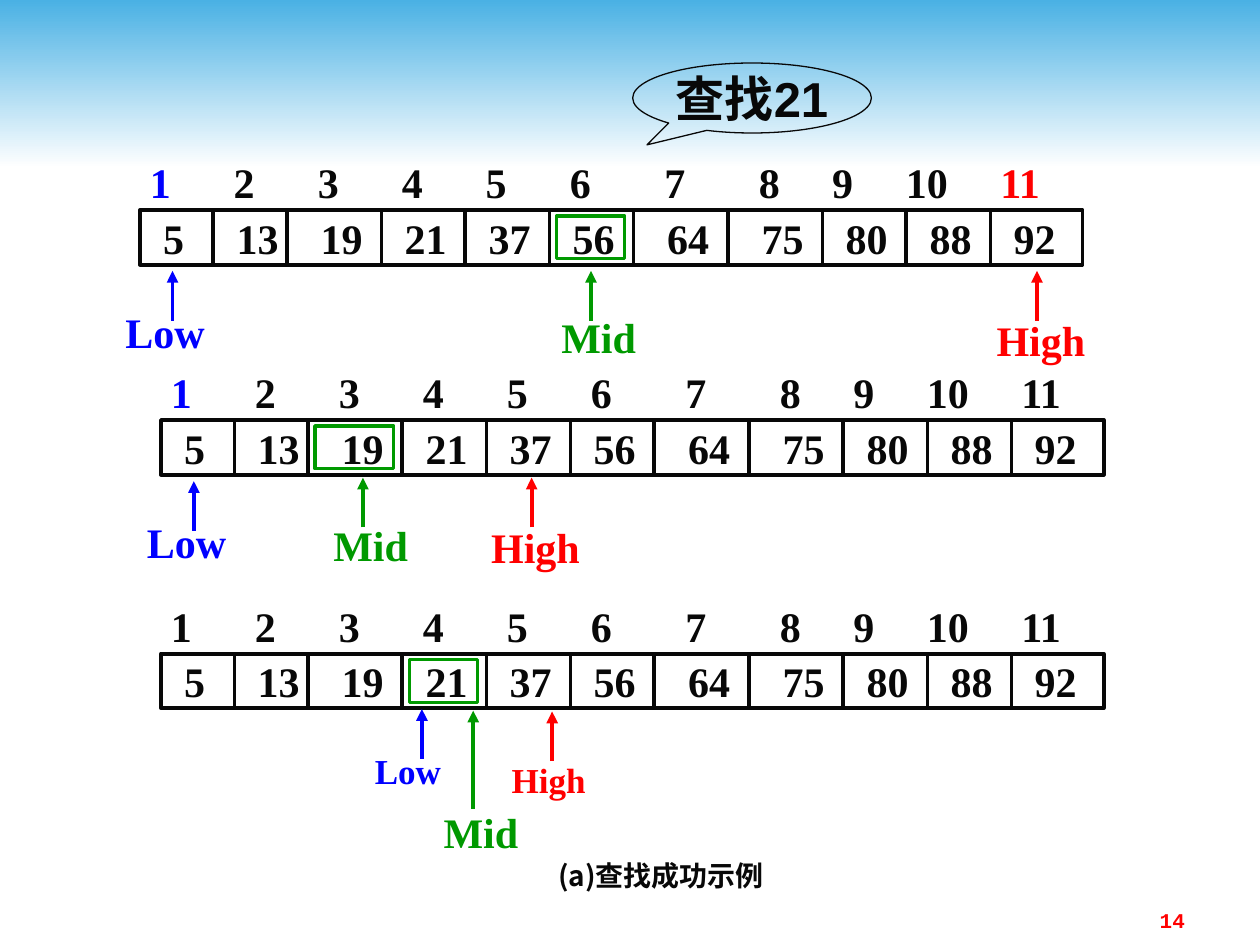
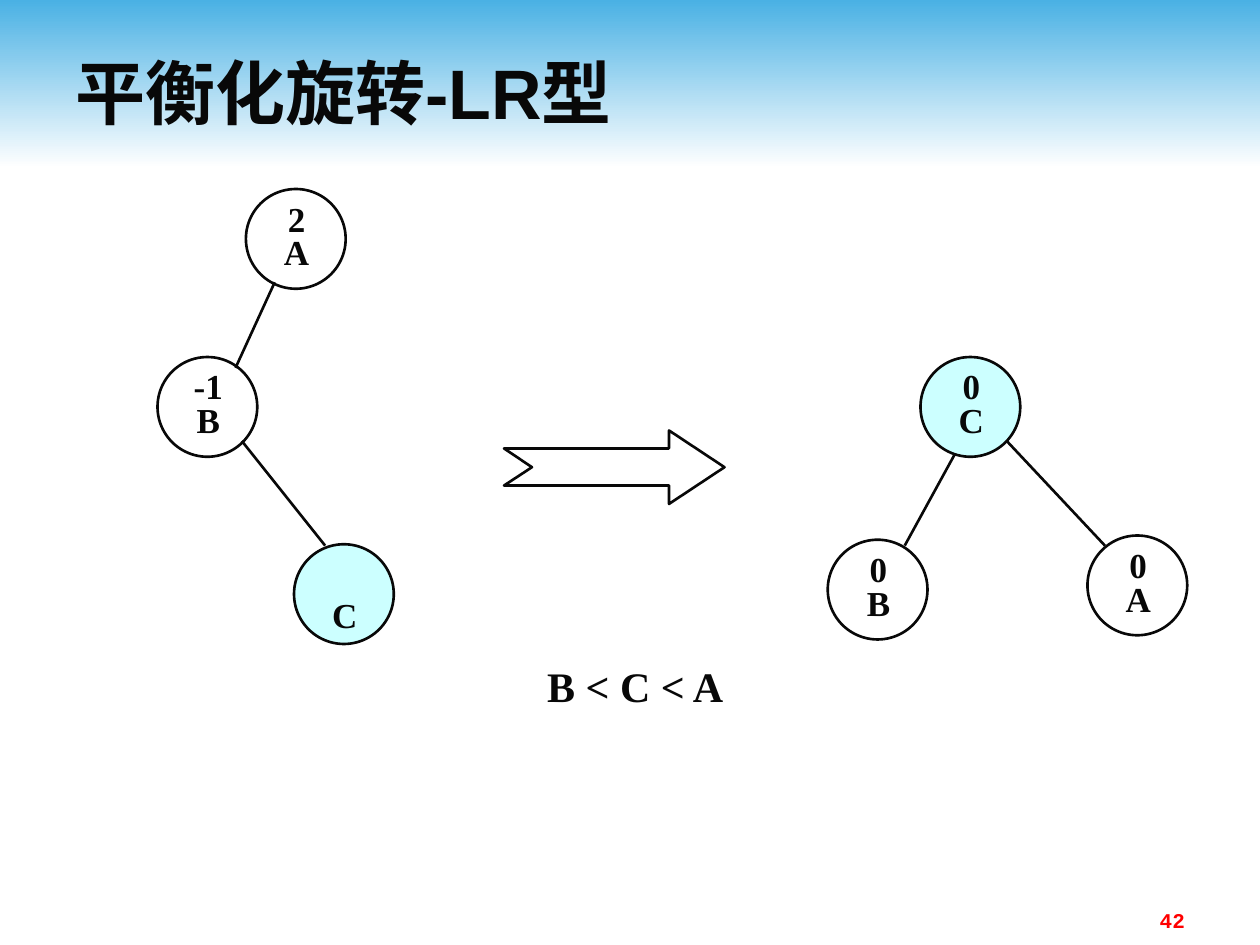
from itertools import accumulate

from lxml import etree
from pptx import Presentation
from pptx import util as u
from pptx.dml.color import RGBColor
from pptx.enum import shapes, text
from pptx.oxml.ns import qn

Pt = u.Pt
INK = RGBColor(0x08, 0x08, 0x08)
BLUE = RGBColor(0x00, 0x00, 0xFF)
GREEN = RGBColor(0x00, 0x99, 0x00)
RED = RGBColor(0xFF, 0x00, 0x00)
SKY = RGBColor(0x4A, 0xB1, 0xE4)
WHITE = RGBColor(0xFF, 0xFF, 0xFF)
PALE_CYAN = RGBColor(0xCC, 0xFF, 0xFF)
SERIF, SANS, MONO, CJK = "Times New Roman", "Arial", "Courier New", "Noto Sans CJK SC"
LEFT, CENTER, RIGHT = text.PP_ALIGN.LEFT, text.PP_ALIGN.CENTER, text.PP_ALIGN.RIGHT
MIDDLE, TOP = text.MSO_ANCHOR.MIDDLE, text.MSO_ANCHOR.TOP

# Binary search: offsets in points from the left edge of each array
VALUES = [5, 13, 19, 21, 37, 56, 64, 75, 80, 88, 92]
CELL_WIDTHS = [42, 42, 54, 48, 48, 48, 54, 54, 48, 48, 52.6]
CELL_STARTS = [0, *accumulate(CELL_WIDTHS)]
VALUE_STOPS = [42, 90, 138, 186, 234, 288, 342, 390, 438, 486]
INDEX_STOPS = [48, 96, 144, 192, 240, 294, 348, 390, 432, 486]
ROW_WIDTH, ROW_HEIGHT = CELL_STARTS[-1], 31.2

# Pointer name: colour, label offset from the arrow, label width
POINTERS = {"Low": (BLUE, -34, 51), "Mid": (GREEN, -24, 45), "High": (RED, -30.2, 51)}

# Pointers of a step: name, arrow x, tip y, arrow length, label top, text size
STEPS = [
    {"left": 80, "top": 120, "mid": 5, "index_colors": {0: BLUE, 10: RED},
     "pointers": [("Mid", 337.7, 154.8, 28.4, 178.6, 24),
                  ("High", 592.6, 154.8, 28.4, 180, 24),
                  ("Low", 98.6, 154.8, 28.4, 175.7, 24)]},
    {"left": 92, "top": 240, "mid": 2, "index_colors": {0: BLUE},
     "pointers": [("Mid", 207.4, 273, 28.4, 297.4, 24),
                  ("High", 303.8, 273, 28.4, 298.2, 24),
                  ("Low", 110.8, 275, 28.4, 295.8, 24)]},
    {"left": 92, "top": 373.5, "mid": 3, "index_colors": {},
     "pointers": [("Mid", 270.4, 406.1, 56, 461.5, 24),
                  ("High", 315.5, 406.6, 28.4, 431.3, 20),
                  ("Low", 241.1, 405.2, 28.4, 426.2, 20)]},
]

# Rotation: node left, top, lines, fill
NODE_SIZE = 57
NODES = [
    (140.5, 108, ["2", "A"], None),
    (90, 204, ["-1", "B"], None),
    (168, 311, ["C"], PALE_CYAN),
    (621.4, 306, ["0", "A"], None),
    (526, 204, ["0", "C"], PALE_CYAN),
    (473, 308.4, ["0", "B"], None),
]
EDGES = [
    (157, 161.3, 134.6, 210.2),
    (138.2, 252, 185.8, 311.8),
    (575.3, 252, 631.4, 311.8),
    (545.8, 259.2, 517, 311.8),
]
ROTATION_ARROW = [(288, 256.3), (382.3, 256.3), (382.3, 246), (414, 267),
                  (382.3, 288), (382.3, 277.5), (288, 277.5), (304, 267)]


def style_run(span, size, font, color):
    span.font.size, span.font.bold, span.font.name = Pt(size), True, font
    span.font.color.rgb = color
    etree.SubElement(span.font._element, qn("a:ea"), typeface=CJK)


def set_frame(box, wrap=True, anchor=TOP, insets=(7.2, 3.6)):
    frame = box.text_frame
    frame.word_wrap, frame.vertical_anchor = wrap, anchor
    frame.auto_size = text.MSO_AUTO_SIZE.NONE
    frame.margin_left = frame.margin_right = Pt(insets[0])
    frame.margin_top = frame.margin_bottom = Pt(insets[1])
    return frame


def write(box, words, size, font=SERIF, color=INK, align=LEFT, spacing=None, **frame_options):
    frame = set_frame(box, **frame_options)
    frame.text = words
    for para in frame.paragraphs:
        para.alignment, para.line_spacing = align, spacing
        for span in para.runs:
            style_run(span, size, font, color)


def write_columns(box, entries, stops, colors, left_inset):
    """Set the entries in one line at tab stops, with a colour for some of them."""
    frame = set_frame(box, anchor=MIDDLE)
    frame.margin_left = Pt(left_inset)
    para = frame.paragraphs[0]
    para.alignment = LEFT
    tabs = etree.SubElement(para._p.get_or_add_pPr(), qn("a:tabLst"))
    for stop in stops:
        etree.SubElement(tabs, qn("a:tab"), pos=str(Pt(stop)), algn="l")
    for number, entry in enumerate(entries):
        span = para.add_run()
        span.text = f"\t{entry}" if number else str(entry)
        style_run(span, 24, SERIF, colors.get(number, INK))


def add_label(place, left, top, width, height, words, size, **options):
    box = place.add_textbox(Pt(left), Pt(top), Pt(width), Pt(height))
    write(box, words, size, **options)


def paint(shape, line=INK, weight=1.5, fill=None):
    shape.shadow.inherit = False
    if fill is None:
        shape.fill.background()
    else:
        shape.fill.solid()
        shape.fill.fore_color.rgb = fill
    shape.line.color.rgb, shape.line.width = line, Pt(weight)


def add_outline(place, kind, left, top, width, height, **look):
    shape = place.add_shape(kind, Pt(left), Pt(top), Pt(width), Pt(height))
    paint(shape, **look)
    return shape


def add_line(place, x1, y1, x2, y2, color=INK, weight=1.5, arrow=False):
    line = place.add_connector(shapes.MSO_CONNECTOR.STRAIGHT, Pt(x1), Pt(y1), Pt(x2), Pt(y2))
    line.line.color.rgb, line.line.width = color, Pt(weight)
    if arrow:
        etree.SubElement(line.line._get_or_add_ln(), qn("a:tailEnd"), type="triangle")
    etree.SubElement(line._element.spPr, qn("a:effectLst"))


def add_band_to_master(deck, page):
    band = page.shapes.add_shape(shapes.MSO_SHAPE.RECTANGLE, 0, 0, Pt(720), Pt(96))
    band.shadow.inherit = False
    band.line.fill.background()
    band.fill.gradient()
    band.fill.gradient_angle = 270
    for stop, color, position in zip(band.fill.gradient_stops, (SKY, WHITE), (0, 1)):
        stop.color.rgb, stop.position = color, position
    band.element.nvSpPr.cNvPr.set("id", "20")
    deck.slide_master.element.cSld.spTree.insert(2, band.element)


def add_page_number(page, number):
    add_label(page.shapes, 516.2, 514.8, 168, 19.4, number, 12, font=MONO, color=RED, align=RIGHT)


def add_array(page, step):
    group = page.shapes.add_group_shape().shapes
    left, top = step["left"], step["top"]
    row = add_outline(group, shapes.MSO_SHAPE.RECTANGLE, left, top, ROW_WIDTH, ROW_HEIGHT, weight=2.25)
    write_columns(row, VALUES, VALUE_STOPS, {}, 13.2)
    for start in CELL_STARTS[1:-1]:
        add_line(group, left + start, top, left + start, top + ROW_HEIGHT, weight=2.25)
    indices = group.add_textbox(Pt(left - 1.5), Pt(top - 30), Pt(ROW_WIDTH), Pt(28))
    write_columns(indices, range(1, len(VALUES) + 1), INDEX_STOPS, step["index_colors"], 7.2)


def add_pointer(page, name, x, tip, length, label_top, size):
    color, offset, width = POINTERS[name]
    group = page.shapes.add_group_shape().shapes
    add_label(group, x + offset, label_top, width, 28, name, size, color=color, wrap=False, anchor=MIDDLE)
    add_line(group, x, tip + length, x, tip, color, 2.25, arrow=True)


def add_mid_frame(page, step):
    cell = step["mid"]
    add_outline(page.shapes, shapes.MSO_SHAPE.RECTANGLE, step["left"] + CELL_STARTS[cell] + 4,
                step["top"] + 3.4, CELL_WIDTHS[cell] - 9, 24.5, line=GREEN, weight=2)


def add_node(page, left, top, lines, fill):
    group = page.shapes.add_group_shape().shapes
    add_outline(group, shapes.MSO_SHAPE.OVAL, left, top, NODE_SIZE, NODE_SIZE, fill=fill)
    text_top = top + (9.2 if len(lines) == 2 else 33)
    add_label(group, left + 17, text_top, 24, 19 * len(lines), "\n".join(lines), 20,
              align=CENTER, spacing=0.8, insets=(0, 0))


def build_search(page):
    add_page_number(page, "14")
    callout = add_outline(page.shapes, shapes.MSO_SHAPE.OVAL_CALLOUT, 361.6, 36, 136.4, 40, weight=0.75)
    callout.adjustments[0], callout.adjustments[1] = -0.44, 0.67
    write(callout, "查找21", 28, font=SANS, align=CENTER, wrap=False, anchor=MIDDLE)
    for step in STEPS:
        add_array(page, step)
        for pointer in step["pointers"]:
            add_pointer(page, *pointer)
    add_label(page.shapes, 312, 484.8, 138, 31, "(a)查找成功示例", 16, font=CJK, wrap=False, anchor=MIDDLE)
    for step in STEPS:
        add_mid_frame(page, step)


def build_rotation(page):
    title = page.shapes.title
    title.left, title.top, title.width, title.height = Pt(36), Pt(18), Pt(648), Pt(68.4)
    write(title, "平衡化旋转-LR型", 40, font=SANS, anchor=MIDDLE)
    add_page_number(page, "42")
    for node in NODES:
        add_node(page, *node)
    for edge in EDGES:
        add_line(page.shapes, *edge)
    start, *rest = [(Pt(x), Pt(y)) for x, y in ROTATION_ARROW]
    builder = page.shapes.build_freeform(*start)
    builder.add_line_segments(rest, close=True)
    paint(builder.convert_to_shape())
    add_label(page.shapes, 246, 374, 234, 36, "B < C < A", 24, align=CENTER)


def main():
    deck = Presentation()
    deck.slide_width, deck.slide_height = Pt(720), Pt(540)
    title_only, blank = deck.slide_layouts[5], deck.slide_layouts[6]
    search = deck.slides.add_slide(blank)
    add_band_to_master(deck, search)
    build_search(search)
    build_rotation(deck.slides.add_slide(title_only))
    deck.save("out.pptx")


if __name__ == "__main__":
    main()
